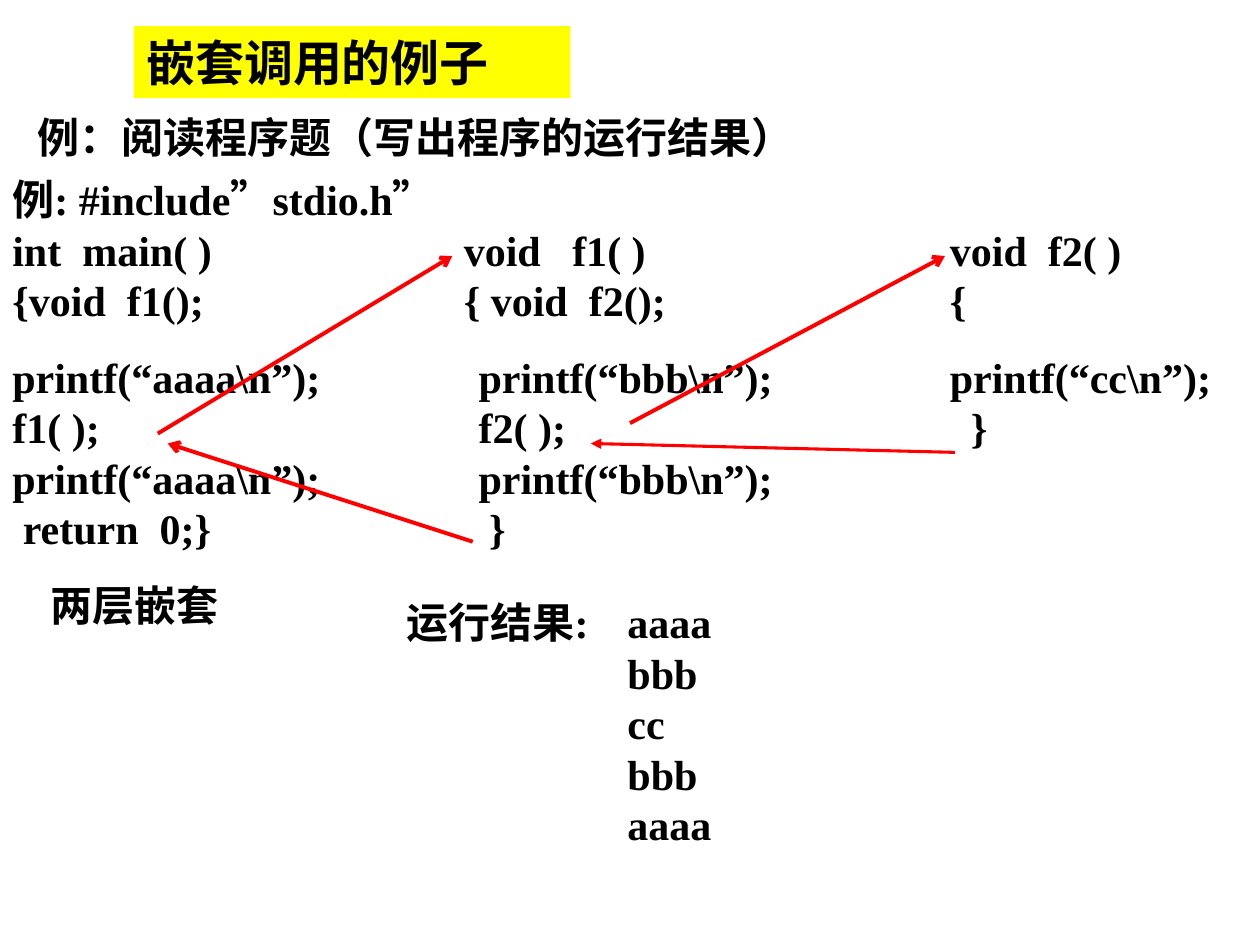
import dataclasses

import lxml.etree
import pptx
import pptx.dml.color
import pptx.enum.shapes
import pptx.enum.text
import pptx.oxml.ns
import pptx.util
from pptx.util import Cm

FONT = "Times New Roman"
BLACK, RED, YELLOW = "000000", "FF0000", "FFFF00"
qn = pptx.oxml.ns.qn


@dataclasses.dataclass
class Block:
    """One paragraph; tab stops and indent are in centimetres."""
    lines: list[str]
    tabs: tuple[float, ...] = ()
    indent: float = 0


@dataclasses.dataclass
class TextArea:
    left: float
    top: float
    width: float
    height: float
    blocks: list[Block]
    size: int = 24
    space_before: int = 15
    fill: str | None = None


@dataclasses.dataclass
class Arrow:
    start: tuple[float, float]
    end: tuple[float, float]
    head: str = "arrow"
    width: float = 2.25


TEXT_AREAS = [
    TextArea(0, 3.38, 25.4, 9.45, [
        Block(["例: #include”stdio.h”",
               "int  main( )\tvoid   f1( )\tvoid  f2( )",
               "{void  f1();\t{ void  f2();\t{"], tabs=(9.1, 18.9)),
        Block(["printf(“aaaa\\n”);\tprintf(“bbb\\n”);\tprintf(“cc\\n”);",
               "f1( );\tf2( );\t  }",
               "printf(“aaaa\\n”);\tprintf(“bbb\\n”);",
               " return  0;}\t }"], tabs=(9.4, 18.9)),
        Block(["两层嵌套"], indent=0.77),
    ]),
    TextArea(7.95, 11.91, 11.63, 5.33, [
        Block(["运行结果:\taaaa", "\tbbb", "\tcc", "\tbbb", "\taaaa"], tabs=(4.45,)),
    ]),
    TextArea(0.5, 2.13, 20, 1.27, [Block(["例：阅读程序题（写出程序的运行结果）"])]),
    TextArea(2.7, 0.53, 8.8, 1.45, [Block(["嵌套调用的例子"])],
             size=28, space_before=0, fill=YELLOW),
]

ARROWS = [
    Arrow((19.25, 9.12), (11.91, 8.94), head="triangle", width=1.75),
    Arrow((9.53, 10.92), (3.38, 8.94)),
    Arrow((12.7, 8.53), (19.05, 5.16)),
    Arrow((3.18, 8.74), (9.12, 5.16)),
]


def color(value: str) -> pptx.dml.color.RGBColor:
    return pptx.dml.color.RGBColor.from_string(value)


def write_block(para, block: Block, size: int, space_before: int) -> None:
    para.text = "\v".join(block.lines)
    para.alignment = pptx.enum.text.PP_ALIGN.LEFT
    para.space_before = pptx.util.Pt(space_before)
    para.font.name = FONT
    para.font.size = pptx.util.Pt(size)
    para.font.bold = True
    para.font.color.rgb = color(BLACK)
    properties = para._p.get_or_add_pPr()
    if block.indent:
        properties.set("marL", str(Cm(block.indent)))
        properties.set("indent", "0")
    if block.tabs:
        stops = lxml.etree.Element(qn("a:tabLst"))
        for position in block.tabs:
            lxml.etree.SubElement(stops, qn("a:tab"), pos=str(Cm(position)), algn="l")
        properties.find(qn("a:defRPr")).addprevious(stops)


def draw_text(page, area: TextArea) -> None:
    bounds = [Cm(n) for n in (area.left, area.top, area.width, area.height)]
    if area.fill:
        box = page.shapes.add_shape(pptx.enum.shapes.MSO_SHAPE.RECTANGLE, *bounds)
        box.shadow.inherit = False
        box.fill.solid()
        box.fill.fore_color.rgb = color(area.fill)
        box.line.fill.background()
    else:
        box = page.shapes.add_textbox(*bounds)
    frame = box.text_frame
    frame.word_wrap = True
    frame.vertical_anchor = pptx.enum.text.MSO_ANCHOR.TOP
    for index, block in enumerate(area.blocks):
        para = frame.add_paragraph() if index else frame.paragraphs[0]
        write_block(para, block, area.size, area.space_before)


def draw_arrow(page, arrow: Arrow) -> None:
    points = [Cm(n) for n in (*arrow.start, *arrow.end)]
    connector = page.shapes.add_connector(
        pptx.enum.shapes.MSO_CONNECTOR.STRAIGHT, *points)
    connector.line.color.rgb = color(RED)
    connector.line.width = pptx.util.Pt(arrow.width)
    outline = connector.line._get_or_add_ln()
    lxml.etree.SubElement(outline, qn("a:tailEnd"), type=arrow.head)
    lxml.etree.SubElement(connector._element.spPr, qn("a:effectLst"))


def main() -> None:
    deck = pptx.Presentation()
    deck.slide_width, deck.slide_height = Cm(25.4), Cm(19.05)
    page = deck.slides.add_slide(deck.slide_layouts[6])
    for area in TEXT_AREAS:
        draw_text(page, area)
    for arrow in ARROWS:
        draw_arrow(page, arrow)
    deck.save("out.pptx")


if __name__ == "__main__":
    main()
